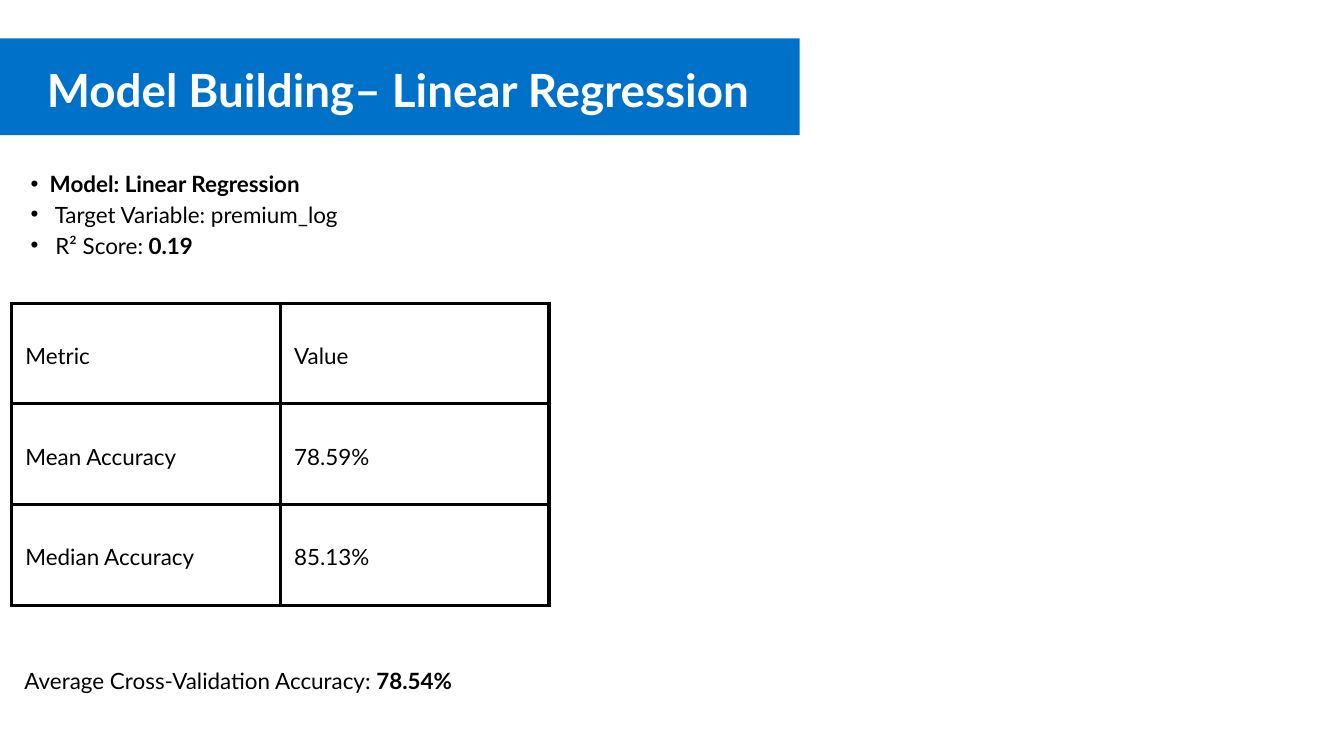
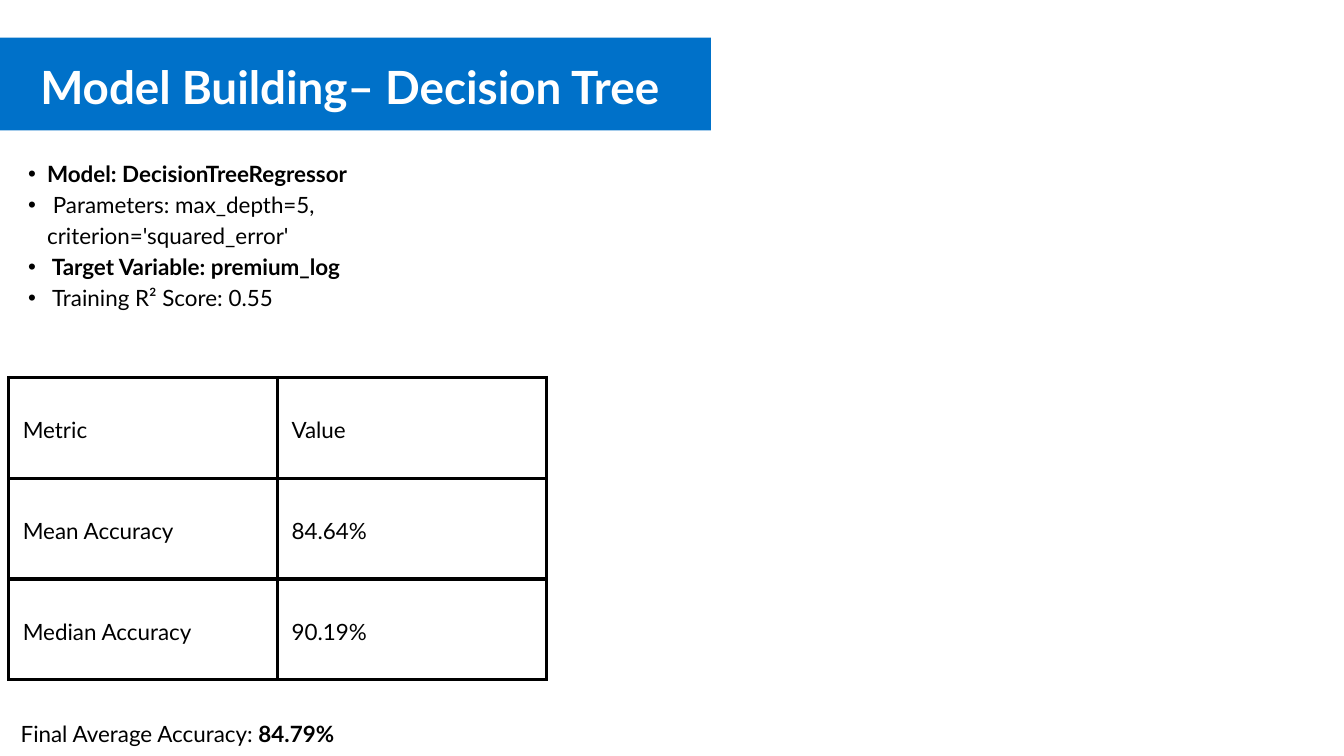
from lxml import etree
from pptx import Presentation
from pptx.dml.color import RGBColor
from pptx.enum.shapes import MSO_SHAPE
from pptx.enum.text import MSO_ANCHOR, PP_ALIGN
from pptx.oxml.ns import qn
from pptx.util import Cm, Pt

RECTANGLE = MSO_SHAPE.RECTANGLE
MIDDLE = MSO_ANCHOR.MIDDLE
LEFT, CENTER = PP_ALIGN.LEFT, PP_ALIGN.CENTER

FONT = "Lato"
BLUE, BLACK, WHITE = "0071C9", "000000", "FFFFFF"
BODY_SIZE, TITLE_SIZE = 24, 49
BODY_LEADING, TABLE_LEADING, TITLE_LEADING = 33.1, 33.6, 67.6
BORDER_WIDTH = 3.75
COLUMN_WIDTH, ROW_HEIGHT, CELL_MARGIN = 10.16, 3.81, 0.53
BULLET_LEFT, BULLET_HANG = 1.45, 0.72


def rgb(hex_color):
    return RGBColor.from_string(hex_color)


def cm(*lengths):
    return [Cm(length) for length in lengths]


class Deck:
    """Holds the shared style and the slide being filled."""

    def __init__(self):
        self.presentation = Presentation()
        self.presentation.slide_width = Cm(50.8)
        self.presentation.slide_height = Cm(28.58)
        self.slide = None

    def new_slide(self):
        blank = self.presentation.slide_layouts[6]
        self.slide = self.presentation.slides.add_slide(blank)

    def add_runs(self, paragraph, runs, leading=BODY_LEADING, size=BODY_SIZE, color=BLACK,
                 align=LEFT):
        """Add (text, bold) runs to a paragraph."""
        paragraph.alignment = align
        paragraph.line_spacing = Pt(leading)
        for text, bold in runs:
            run = paragraph.add_run()
            run.text = text
            run.font.name = FONT
            run.font.size = Pt(size)
            run.font.bold = bold
            run.font.color.rgb = rgb(color)

    def text_frame(self, box):
        frame = self.slide.shapes.add_textbox(*cm(*box)).text_frame
        frame.word_wrap = True
        frame.margin_left = frame.margin_right = 0
        frame.margin_top = frame.margin_bottom = 0
        return frame

    def band(self, top, width, height):
        band = self.slide.shapes.add_shape(RECTANGLE, *cm(0, top, width, height))
        band.shadow.inherit = False
        band.fill.solid()
        band.fill.fore_color.rgb = rgb(BLUE)
        band.line.fill.background()

    def title(self, text, box):
        title = self.text_frame(box).paragraphs[0]
        self.add_runs(title, [(text, True)], TITLE_LEADING, TITLE_SIZE, WHITE, CENTER)

    def summary(self, label, value, box):
        summary = self.text_frame(box).paragraphs[0]
        self.add_runs(summary, [(label, False), (value, True)], align=CENTER)

    def bullets(self, items, box):
        frame = self.text_frame(box)
        for index, runs in enumerate(items):
            paragraph = frame.add_paragraph() if index else frame.paragraphs[0]
            paragraph.level = 1
            properties = paragraph._p.get_or_add_pPr()
            properties.set("marL", str(Cm(BULLET_LEFT)))
            properties.set("indent", str(-Cm(BULLET_HANG)))
            etree.SubElement(properties, qn("a:buFont"), typeface="Arial")
            etree.SubElement(properties, qn("a:buChar"), char="•")
            self.add_runs(paragraph, runs)

    def border(self, cell):
        properties = cell._tc.get_or_add_tcPr()
        for position, side in enumerate(("lnL", "lnR", "lnT", "lnB")):
            line = etree.Element(qn(f"a:{side}"), w=str(Pt(BORDER_WIDTH)))
            fill = etree.SubElement(line, qn("a:solidFill"))
            etree.SubElement(fill, qn("a:srgbClr"), val=BLACK)
            properties.insert(position, line)

    def table(self, rows, left, top):
        columns = len(rows[0])
        size = (COLUMN_WIDTH * columns, ROW_HEIGHT * len(rows))
        table = self.slide.shapes.add_table(len(rows), columns, *cm(left, top, *size)).table
        table.first_row = table.horz_banding = False
        for row_index, row in enumerate(rows):
            for column_index, text in enumerate(row):
                cell = table.cell(row_index, column_index)
                cell.fill.background()
                cell.vertical_anchor = MIDDLE
                cell.margin_left = cell.margin_right = Cm(CELL_MARGIN)
                cell.margin_top = cell.margin_bottom = Cm(CELL_MARGIN)
                self.border(cell)
                self.add_runs(cell.text_frame.paragraphs[0], [(text, False)], TABLE_LEADING)

    def accuracy_table(self, mean, median, left, top):
        self.table([("Metric", "Value"), ("Mean Accuracy", mean), ("Median Accuracy", median)],
                   left, top)


def linear_regression(deck):
    deck.new_slide()
    deck.accuracy_table("78.59%", "85.13%", 0.43, 11.46)
    deck.band(1.45, 30.23, 3.66)
    deck.bullets([
        [("Model: Linear Regression", True)],
        [(" Target Variable: premium_log", False)],
        [(" R² Score:", False), (" 0.19", True)],
    ], (0.43, 6.27, 13.77, 3.48))
    deck.summary("Average Cross-Validation Accuracy: ", "78.54%", (0.43, 25.07, 17.15, 1.14))
    deck.title("Model Building– Linear Regression", (-1.7, 2.03, 33.48, 2.29))


def decision_tree(deck):
    deck.new_slide()
    deck.accuracy_table("84.64%", "90.19%", 0.33, 14.27)
    deck.band(1.42, 26.87, 3.51)
    deck.bullets([
        [("Model: DecisionTreeRegressor", True)],
        [(" Parameters: max_depth=5, criterion='squared_error'", False)],
        [(" Target Variable: premium_log", True)],
        [(" Training R² Score: 0.55", False)],
    ], (0.33, 5.92, 18.26, 5.79))
    deck.summary("Final Average Accuracy: ", "84.79%", (-0.51, 27.08, 14.43, 1.14))
    deck.title("Model Building– Decision Tree", (0.33, 1.93, 25.78, 2.29))


def main():
    deck = Deck()
    linear_regression(deck)
    decision_tree(deck)
    deck.presentation.save("out.pptx")


if __name__ == "__main__":
    main()
